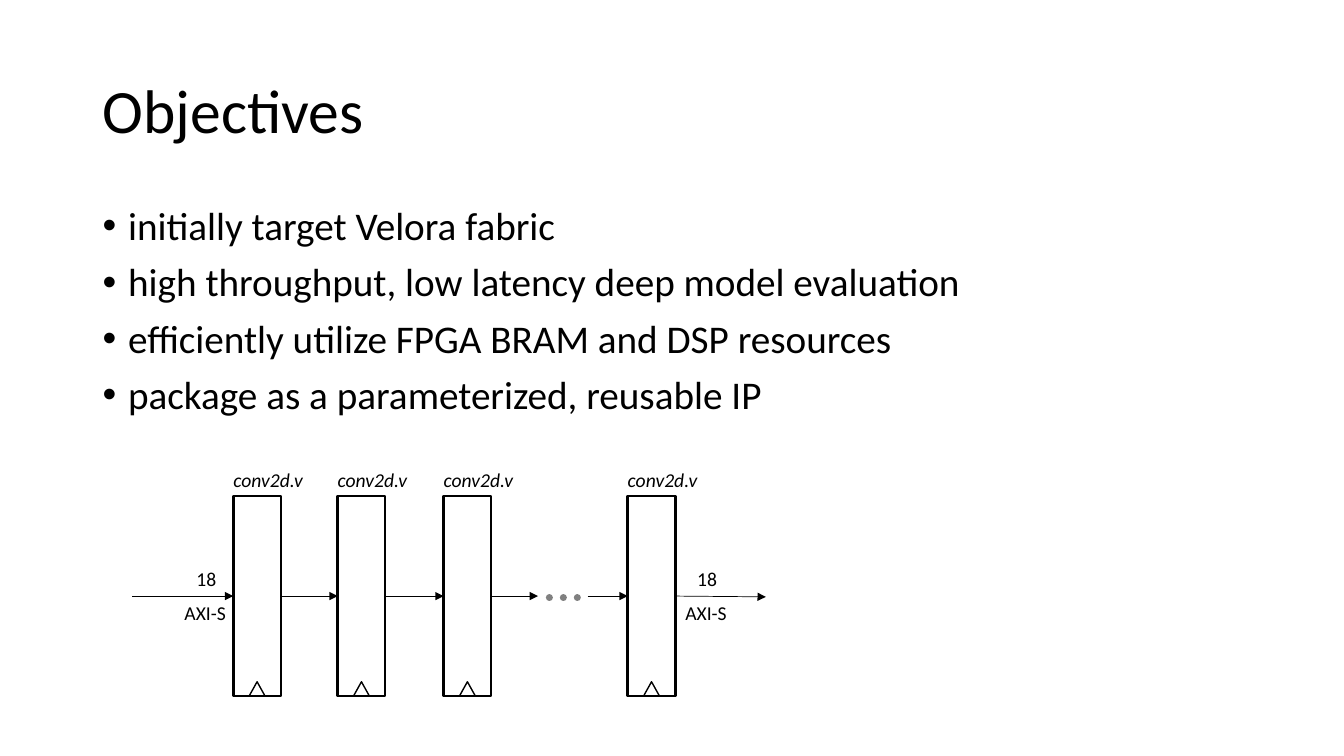
from lxml import etree
from pptx import Presentation
from pptx.dml.color import RGBColor
from pptx.enum.dml import MSO_LINE
from pptx.enum.shapes import MSO_CONNECTOR, MSO_SHAPE
from pptx.enum.text import MSO_ANCHOR as ANCHOR
from pptx.oxml.ns import qn
from pptx.util import Cm, Pt

BLACK, GRAY = "000000", "808080"
TOP, RIGHT, LEFT = 0, 3, 1


def color(value):
    return RGBColor.from_string(value)


class Deck:
    """Style and current slide, with one method per kind of element."""

    font = "Calibri"

    def __init__(self, width, height):
        self.prs = Presentation()
        self.prs.slide_width, self.prs.slide_height = Cm(width), Cm(height)
        self.slide = self.prs.slides.add_slide(self.prs.slide_layouts[6])

    def text(self, x, y, w, h, lines, size, italic=False, wrap=False,
             anchor=ANCHOR.TOP, spacing=1.0, before=0, bullet=False):
        tf = self.slide.shapes.add_textbox(Cm(x), Cm(y), Cm(w), Cm(h)).text_frame
        tf.word_wrap = wrap
        tf.vertical_anchor = anchor
        for i, line in enumerate(lines):
            p = tf.paragraphs[0] if i == 0 else tf.add_paragraph()
            if bullet:
                self.bullet(p)
            p.line_spacing = spacing
            p.space_before = Pt(before if i else 0)
            r = p.add_run()
            r.text = line
            r.font.name, r.font.size = self.font, Pt(size)
            r.font.italic = italic
            r.font.color.rgb = color(BLACK)

    def bullet(self, p, indent=0.64):
        pPr = p._p.get_or_add_pPr()
        pPr.set("marL", str(Cm(indent)))
        pPr.set("indent", str(-Cm(indent)))
        etree.SubElement(pPr, qn("a:buFont")).set("typeface", "Arial")
        etree.SubElement(pPr, qn("a:buChar")).set("char", "•")

    def outline(self, kind, x, y, w, h, weight):
        sp = self.slide.shapes.add_shape(kind, Cm(x), Cm(y), Cm(w), Cm(h))
        sp.shadow.inherit = False
        sp.fill.background()
        sp.line.color.rgb = color(BLACK)
        sp.line.width = Pt(weight)
        return sp

    def line(self, x1, y1, x2, y2, weight=0.5, stroke=BLACK):
        c = self.slide.shapes.add_connector(
            MSO_CONNECTOR.STRAIGHT, Cm(x1), Cm(y1), Cm(x2), Cm(y2))
        c.line.color.rgb = color(stroke)
        c.line.width = Pt(weight)
        etree.SubElement(c._element.spPr, qn("a:effectLst"))
        return c

    def arrow(self, x1, y1, x2, y2, start=None, end=None):
        c = self.line(x1, y1, x2, y2)
        etree.SubElement(c.line._get_or_add_ln(), qn("a:tailEnd")).set("type", "triangle")
        if start is not None:
            c.begin_connect(start, RIGHT)
        if end is not None:
            c.end_connect(end, LEFT)

    def dots(self, x1, x2, y):
        c = self.line(x1, y, x2, y, 5, GRAY)
        c.line.dash_style = MSO_LINE.ROUND_DOT
        c.line._get_or_add_ln().set("cap", "rnd")


STAGE_X = [5.88, 8.51, 11.18, 15.82]
STAGE_Y, STAGE_W, STAGE_H = 12.5, 1.2, 5.04
MID_Y = STAGE_Y + STAGE_H / 2
CLOCK_W, CLOCK_H = 0.4, 0.36


def add_stage(deck, x):
    """One pipeline register with its clock mark and module name."""
    sp = deck.outline(MSO_SHAPE.RECTANGLE, x, STAGE_Y, STAGE_W, STAGE_H, 1.75)
    deck.outline(MSO_SHAPE.ISOSCELES_TRIANGLE, x + (STAGE_W - CLOCK_W) / 2,
                 STAGE_Y + STAGE_H - CLOCK_H, CLOCK_W, CLOCK_H, 1)
    deck.text(x - 0.25, 11.66, 2.29, 0.86, ["conv2d.v"], 14, italic=True)
    return sp


def main():
    deck = Deck(33.87, 19.05)

    # Title and objectives
    deck.text(2.34, 1.02, 29.21, 3.68, ["Objectives"], 44, wrap=True,
              anchor=ANCHOR.MIDDLE, spacing=0.9)
    deck.text(2.34, 5.08, 29.21, 12.09, [
        "initially target Velora fabric",
        "high throughput, low latency deep model evaluation",
        "efficiently utilize FPGA BRAM and DSP resources",
        "package as a parameterized, reusable IP",
    ], 28, wrap=True, spacing=0.9, before=10, bullet=True)

    # Pipeline stages
    stages = [add_stage(deck, x) for x in STAGE_X]
    first, second, third, last = stages

    # Data flow between stages
    deck.arrow(3.33, MID_Y, STAGE_X[0], MID_Y, end=first)
    for a, b in [(first, second), (second, third)]:
        deck.arrow(0, MID_Y, 1, MID_Y, a, b)
    deck.arrow(STAGE_X[2] + STAGE_W, MID_Y, 13.56, MID_Y, start=third)
    deck.dots(14.55, 13.72, 15.06)
    deck.arrow(14.81, MID_Y, STAGE_X[3], MID_Y, end=last)
    deck.arrow(STAGE_X[3] + STAGE_W, MID_Y, 19.3, MID_Y + 0.02, start=last)

    # Bus labels at both ends
    for x in (4.4, 17.02):
        deck.text(x, MID_Y, 1.57, 0.86, ["AXI-S"], 14)
        deck.text(x + 0.3, 14.17, 1.02, 0.86, ["18"], 14)

    deck.prs.save("out.pptx")


if __name__ == "__main__":
    main()
